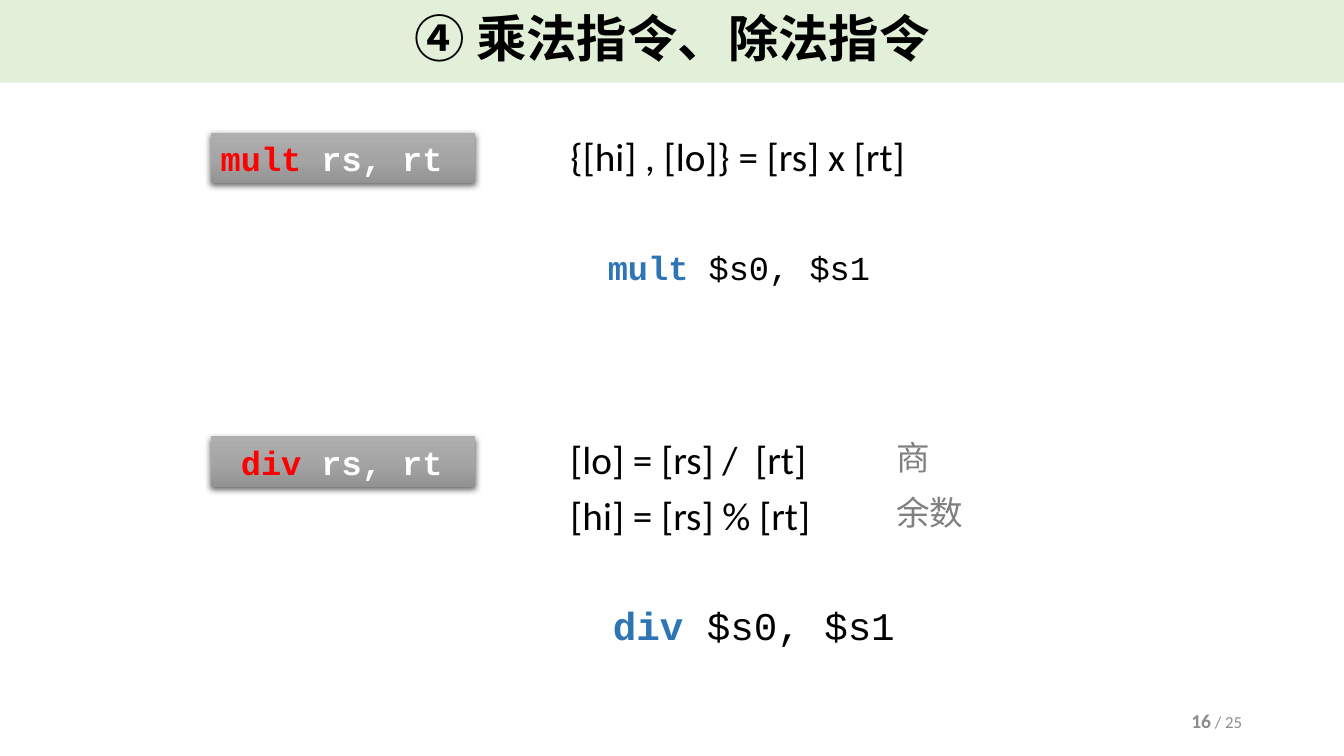
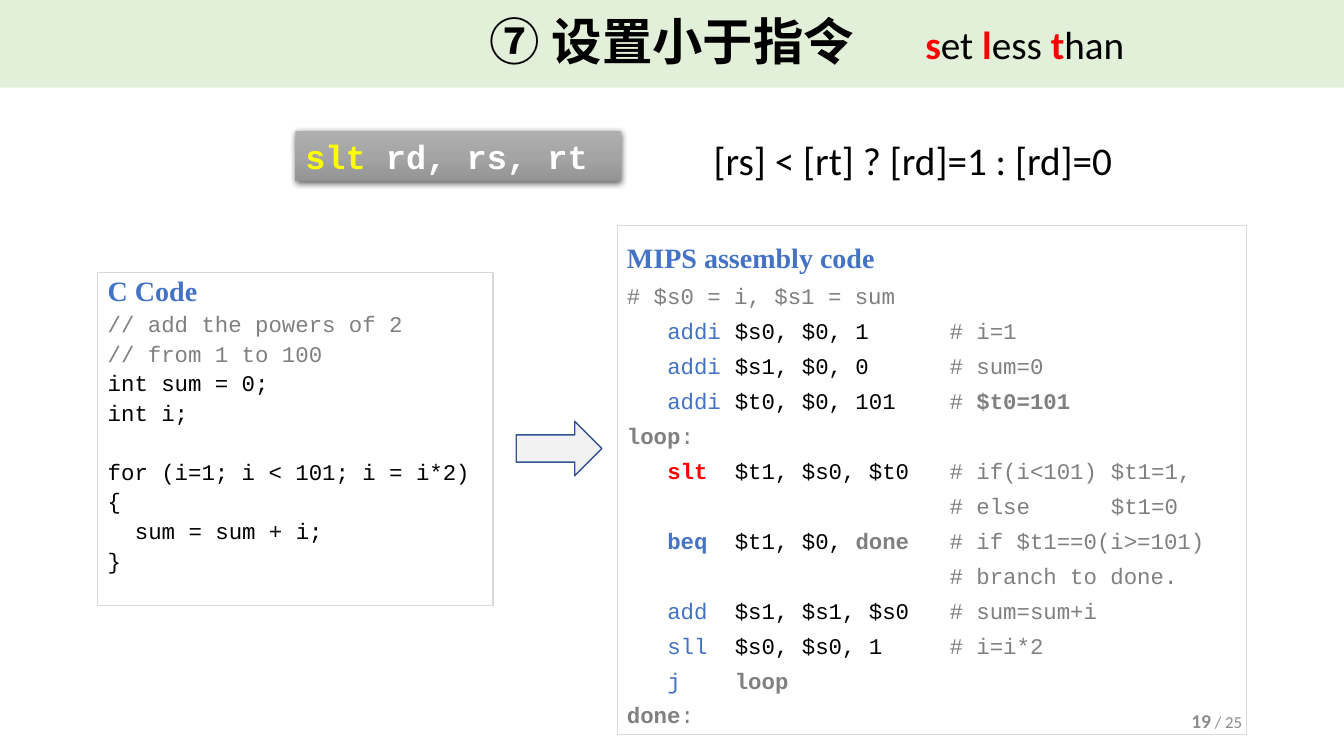
from copy import deepcopy

from lxml import etree
from pptx import Presentation
from pptx.dml.color import RGBColor
from pptx.enum.shapes import MSO_SHAPE as SHAPE
from pptx.enum.text import MSO_ANCHOR as ANCHOR, MSO_AUTO_SIZE as AUTO, PP_ALIGN as ALIGN
from pptx.oxml.ns import qn
from pptx.util import Pt

PX = 9144
W, H = 1333, 750
COLORS = {
    "band": "E2F0D9", "black": "000000", "white": "FFFFFF", "red": "FF0000",
    "yellow": "FFFF00", "blue": "4472C4", "example": "2E75B6", "gray": "808080",
    "page": "8C8C8C", "border": "D9D9D9", "arrow": "F2F2F2", "arrow_line": "325491",
}
BUTTON_STOPS = [(0, "AFAFAF"), (0.5, "A5A5A5"), (1, "939393")]
BODY, CODE, SERIF = "Calibri", "Courier New", "Times New Roman"
TOTAL_PAGES = 25


def rgb(name):
    return RGBColor.from_string(COLORS[name])


def px(*values):
    return [v * PX for v in values]


def run(text, **fmt):
    return text, fmt


def add_text(p, runs, font=BODY, size=28, color="black", bold=False,
             align=ALIGN.LEFT, spacing=None, before=None, after=None, tabs=()):
    """Fill a paragraph with strings or (text, format) runs and set its layout."""
    p.alignment = align
    p.line_spacing = spacing
    p.space_before = None if before is None else Pt(before)
    p.space_after = None if after is None else Pt(after)
    if tabs:
        tab_list = etree.SubElement(p._p.get_or_add_pPr(), qn("a:tabLst"))
        for pos in tabs:
            etree.SubElement(tab_list, qn("a:tab"), pos=str(pos * PX), algn="l")
    base = dict(font=font, size=size, color=color, bold=bold)
    for item in runs:
        text, changes = item if isinstance(item, tuple) else (item, {})
        fmt = {**base, **changes}
        r = p.add_run()
        r.text = text
        r.font.name, r.font.size = fmt["font"], Pt(fmt["size"])
        r.font.bold, r.font.color.rgb = fmt["bold"], rgb(fmt["color"])


def add_lines(tf, lines, **fmt):
    for i, runs in enumerate(lines):
        add_text(tf.paragraphs[0] if i == 0 else tf.add_paragraph(), runs, **fmt)


def add_label(slide, at, *lines, **fmt):
    tf = slide.shapes.add_textbox(*px(*at)).text_frame
    tf.word_wrap = False
    tf.auto_size = AUTO.SHAPE_TO_FIT_TEXT
    add_lines(tf, lines, **fmt)


def add_box(slide, kind, at, line=None, width=0.75):
    sp = slide.shapes.add_shape(kind, *px(*at))
    sp.shadow.inherit = False
    if line:
        sp.line.color.rgb, sp.line.width = rgb(line), Pt(width)
    else:
        sp.line.fill.background()
    return sp


def add_button(slide, at, op, args, color="red"):
    """Draw a gray gradient bar with a soft shadow and an instruction format."""
    sp = add_box(slide, SHAPE.RECTANGLE, at)
    sp.fill.gradient()
    sp.fill.gradient_angle = 270
    spPr = sp._element.spPr
    stop_list = spPr.find(".//" + qn("a:gsLst"))
    stop_list.append(deepcopy(stop_list[0]))
    for stop, (position, hex_color) in zip(sp.fill.gradient_stops, BUTTON_STOPS):
        stop.position, stop.color.rgb = position, RGBColor.from_string(hex_color)
    shadow = etree.SubElement(spPr.find(qn("a:effectLst")), qn("a:outerShdw"),
                              blurRad="57150", dist="19050", dir="5400000",
                              algn="ctr", rotWithShape="0")
    tint = etree.SubElement(shadow, qn("a:srgbClr"), val=COLORS["black"])
    etree.SubElement(tint, qn("a:alpha"), val="63000")
    tf = sp.text_frame
    tf.word_wrap = False
    tf.auto_size = AUTO.SHAPE_TO_FIT_TEXT
    add_lines(tf, [[run(op, color=color), args]],
              font=CODE, size=24, color="white", bold=True)


def add_panel(slide, at, heading, lines, **fmt):
    sp = add_box(slide, SHAPE.RECTANGLE, at, line="border")
    sp.fill.background()
    tf = sp.text_frame
    tf.word_wrap, tf.vertical_anchor = True, ANCHOR.TOP
    title = run(heading, font=SERIF, size=20, color="blue", bold=True)
    add_lines(tf, [[title], *lines], font=CODE, size=16, **fmt)
    return tf


def asm(op, args, *notes, color="blue", bold=False):
    """Return the runs of one instruction: operation, operands, notes."""
    return [run("\t" + op, color=color, bold=bold), "\t" + args, *notes]


def note(text, bold=False):
    return run(text, color="gray", bold=bold)


def add_slide(prs, title, band_height, page):
    """Add a slide with the title band and the page number."""
    slide = prs.slides.add_slide(prs.slide_layouts[5])
    sp = slide.shapes.title
    sp.left, sp.top, sp.width, sp.height = 0, 0, prs.slide_width, band_height * PX
    sp.fill.solid()
    sp.fill.fore_color.rgb = rgb("band")
    tf = sp.text_frame
    tf.vertical_anchor, tf.auto_size = ANCHOR.MIDDLE, AUTO.NONE
    add_lines(tf, [[title]], size=36, bold=True, align=ALIGN.CENTER, spacing=0.9)
    return slide


def add_page_number(slide, page):
    tf = slide.shapes.add_textbox(*px(942, 695, 300, 40)).text_frame
    tf.word_wrap, tf.vertical_anchor = True, ANCHOR.MIDDLE
    add_lines(tf, [[run(str(page), size=14, bold=True), f" / {TOTAL_PAGES}"]],
              size=12, color="page", align=ALIGN.RIGHT)


def build_mult_div(prs):
    slide = add_slide(prs, "④ 乘法指令、除法指令", 82, 16)
    add_button(slide, (209, 132, 262, 50), "mult ", "rs, rt")
    add_button(slide, (209, 433, 262, 50), " div ", "rs, rt")
    add_label(slide, (556, 126, 356, 57), ["{[hi] , [lo]} = [rs] x [rt]"])
    add_label(slide, (556, 427, 261, 113),
              ["[lo] = [rs] /  [rt]"], ["[hi] = [rs] % [rt]"], after=6)
    for at, op, size in [((593, 240, 282, 50), "mult", 24),
                         ((598, 592, 302, 57), "div", 28)]:
        add_label(slide, at, [run(op, color="example", bold=True), " $s0, $s1"],
                  font=CODE, size=size)
    for at, word in [((879, 429, 54, 50), "商"), ((879, 483, 88, 50), "余数")]:
        add_label(slide, at, [word], font=SERIF, size=24, color="gray")
    add_page_number(slide, 16)


def build_slt(prs):
    slide = add_slide(prs, "⑦ 设置小于指令", 87, 19)
    c_lines = [
        [note("// add the powers of 2")], [note("// from 1 to 100")],
        ["int sum = 0;"], ["int i;"],
        ["for (i=1; i < 101; i = i*2)"], ["{"], ["\tsum = sum + i;"], ["}"],
    ]
    tf = add_panel(slide, (97, 270, 392, 331), "C Code", c_lines,
                   spacing=0.9, before=4, tabs=(27,))
    tf.paragraphs[5].space_before = Pt(24.5)
    add_button(slide, (293, 130, 323, 50), "slt ", "rd, rs, rt", color="yellow")
    add_label(slide, (698, 130, 421, 57), ["[rs] < [rt] ? [rd]=1 : [rd]=0"])
    initials = [run(c, color="red", bold=True) for c in "slt"]
    endings = ["et ", "ess ", "han"]
    add_label(slide, (908, 15, 220, 57),
              [part for pair in zip(initials, endings) for part in pair])
    asm_lines = [
        [note("# $s0 = i, $s1 = sum")],
        asm("addi", "$s0, $0, 1", note("\t# i=1")),
        asm("addi", "$s1, $0, 0", note("\t# sum=0")),
        asm("addi", "$t0, $0, 101", note("\t# "), note("$t0=101", bold=True)),
        [note("loop", bold=True), note(":")],
        asm("slt", "$t1, $s0, $t0", note("\t# if(i<101)\t$t1=1,"),
            color="red", bold=True),
        [note("\t\t\t# else\t$t1=0")],
        asm("beq", "$t1, $0, ", note("done", bold=True),
            note("\t# if $t1==0(i>=101)"), bold=True),
        [note("\t\t\t# branch to done.")],
        asm("add", "$s1, $s1, $s0", note("\t# sum=sum+i")),
        asm("sll", "$s0, $s0, 1", note("\t# i=i*2")),
        asm("j", "", note("loop", bold=True)),
        [note("done", bold=True), note(":")],
    ]
    add_panel(slide, (612, 224, 624, 505), "MIPS assembly code", asm_lines,
              spacing=1.3, tabs=(40, 107, 320, 480))
    arrow = add_box(slide, SHAPE.RIGHT_ARROW, (512, 418, 85, 54), "arrow_line", 1)
    arrow.fill.solid()
    arrow.fill.fore_color.rgb = rgb("arrow")
    add_page_number(slide, 19)


def main():
    prs = Presentation()
    prs.slide_width, prs.slide_height = px(W, H)
    build_mult_div(prs)
    build_slt(prs)
    prs.save("out.pptx")


if __name__ == "__main__":
    main()
